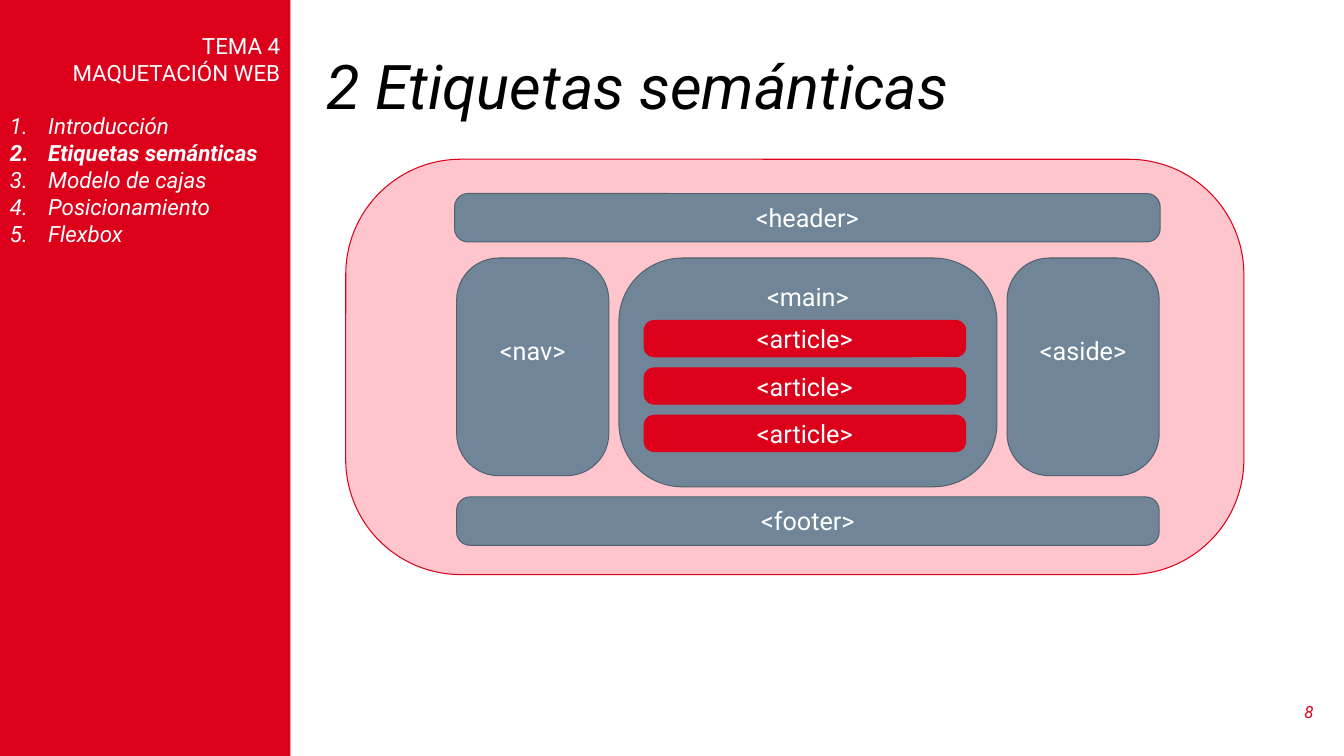
from dataclasses import dataclass

from lxml.etree import SubElement
from pptx import Presentation
from pptx.dml.color import RGBColor as Rgb
from pptx.enum.shapes import MSO_SHAPE as Geo
from pptx.enum.text import MSO_ANCHOR as Anchor, PP_ALIGN as Align
from pptx.oxml.ns import qn
from pptx.shapes.autoshape import Shape
from pptx.slide import Slide
from pptx.util import Inches, Pt

CELL = Inches(0.1)  # grid of 133.3 columns by 75 rows
COLS, ROWS = 133.33, 75


@dataclass(frozen=True)
class Theme:
    font: str = "Roboto"
    red: str = "DC001B"
    pink: str = "FFC5CC"
    slate: str = "708698"
    edge: str = "516270"
    white: str = "FFFFFF"
    black: str = "000000"
    title: int = 44
    label: int = 18
    menu: int = 16
    page: int = 12
    line: float = 0.75
    round: float = 0.277


THEME = Theme()


@dataclass(frozen=True)
class Area:
    col: float
    row: float
    wide: float
    high: float

    def place(self) -> tuple[int, ...]:
        return tuple(round(n * CELL) for n in (self.col, self.row, self.wide, self.high))


@dataclass(frozen=True)
class Block:
    area: Area
    text: str = ""
    fill: str = THEME.slate
    edge: str = THEME.edge
    pad: float = 0.5  # rows above the label
    side: float = 1  # columns beside the label


@dataclass(frozen=True)
class Style:
    size: int
    color: str
    align: Align = Align.LEFT
    italic: bool = False
    bold: bool = False


# Page layout blocks, from back to front
PANEL = Area(0, 0, 28.8, ROWS)
LOW = 6.4  # rows above a label set two lines down
TOP, SIDE, TALL = 25.6, 15.1, 21.6
BLOCKS = [
    Block(Area(34.3, 15.8, 89.1, 41.2), fill=THEME.pink, edge=THEME.red),
    Block(Area(45.1, 19.2, 70, 4.8), "<header>"),
    Block(Area(45.3, TOP, SIDE, TALL), "<nav>", pad=LOW),
    Block(Area(61.4, TOP, 37.5, 22.7), "<main>"),
    Block(Area(99.9, TOP, SIDE, TALL), "<aside>", pad=LOW),
    Block(Area(45.3, 49.3, 69.7, 4.8), "<footer>"),
] + [
    Block(Area(63.9, 31.8 + 4.7 * i, 31.9, 3.6), "<article>", THEME.red, THEME.red, 0, 0)
    for i in range(3)
]

HEADS = ["TEMA 4", "MAQUETACIÓN WEB"]
TOPICS = ["Introducción", "Etiquetas semánticas", "Modelo de cajas", "Posicionamiento", "Flexbox"]
ACTIVE = "Etiquetas semánticas"


def write(para, text: str, style: Style) -> None:
    para.text = text
    para.alignment = style.align
    font = para.font
    font.name, font.size = THEME.font, Pt(style.size)
    font.bold, font.italic = style.bold, style.italic
    font.color.rgb = Rgb.from_string(style.color)


def number(para) -> None:
    props = para._p.get_or_add_pPr()
    props.set("marL", str(Inches(0.38)))
    props.set("indent", str(-Inches(0.38)))
    SubElement(props, qn("a:buFont"), typeface="+mj-lt")
    SubElement(props, qn("a:buAutoNum"), type="arabicPeriod")


def shape(slide: Slide, kind: Geo, area: Area, fill: str) -> Shape:
    item = slide.shapes.add_shape(kind, *area.place())
    item.shadow.inherit = False
    item.fill.solid()
    item.fill.fore_color.rgb = Rgb.from_string(fill)
    item.line.fill.background()
    item.text_frame.word_wrap = True
    item.text_frame.vertical_anchor = Anchor.TOP
    return item


def block(slide: Slide, part: Block) -> None:
    item = shape(slide, Geo.ROUNDED_RECTANGLE, part.area, part.fill)
    item.adjustments[0] = THEME.round
    item.line.color.rgb = Rgb.from_string(part.edge)
    item.line.width = Pt(THEME.line)
    if part.text:
        frame = item.text_frame
        frame.margin_top, frame.margin_bottom = round(part.pad * CELL), 0
        frame.margin_left = frame.margin_right = round(part.side * CELL)
        write(frame.paragraphs[0], part.text, Style(THEME.label, THEME.white, Align.CENTER))


def label(slide: Slide, area: Area, text: str, style: Style, space: float = 1) -> None:
    frame = slide.shapes.add_textbox(*area.place()).text_frame
    frame.word_wrap = True
    frame.vertical_anchor = Anchor.MIDDLE
    frame.paragraphs[0].line_spacing = space
    write(frame.paragraphs[0], text, style)


def panel(slide: Slide) -> None:
    frame = shape(slide, Geo.RECTANGLE, PANEL, THEME.red).text_frame
    frame.margin_top = round(3.2 * CELL)
    for i, text in enumerate(HEADS + TOPICS):
        para = frame.add_paragraph() if i else frame.paragraphs[0]
        topic = i >= len(HEADS)
        if topic:
            number(para)
        if i == len(HEADS):
            para.space_before = Pt(19)
        side = Align.LEFT if topic else Align.RIGHT
        write(para, text, Style(THEME.menu, THEME.white, side, topic, text == ACTIVE))


def main() -> None:
    deck = Presentation()
    deck.slide_width, deck.slide_height = round(COLS * CELL), ROWS * CELL
    slide = deck.slides.add_slide(deck.slide_layouts[6])

    # Title and side menu
    label(slide, Area(31.4, 5, 99.9, 7.8), "2 Etiquetas semánticas",
          Style(THEME.title, THEME.black, italic=True), 0.9)
    panel(slide)

    # Diagram and page number
    for part in BLOCKS:
        block(slide, part)
    label(slide, Area(126.2, 68.6, 5.1, 4), "8",
          Style(THEME.page, THEME.red, Align.RIGHT, italic=True))
    deck.save("out.pptx")


if __name__ == "__main__":
    main()
